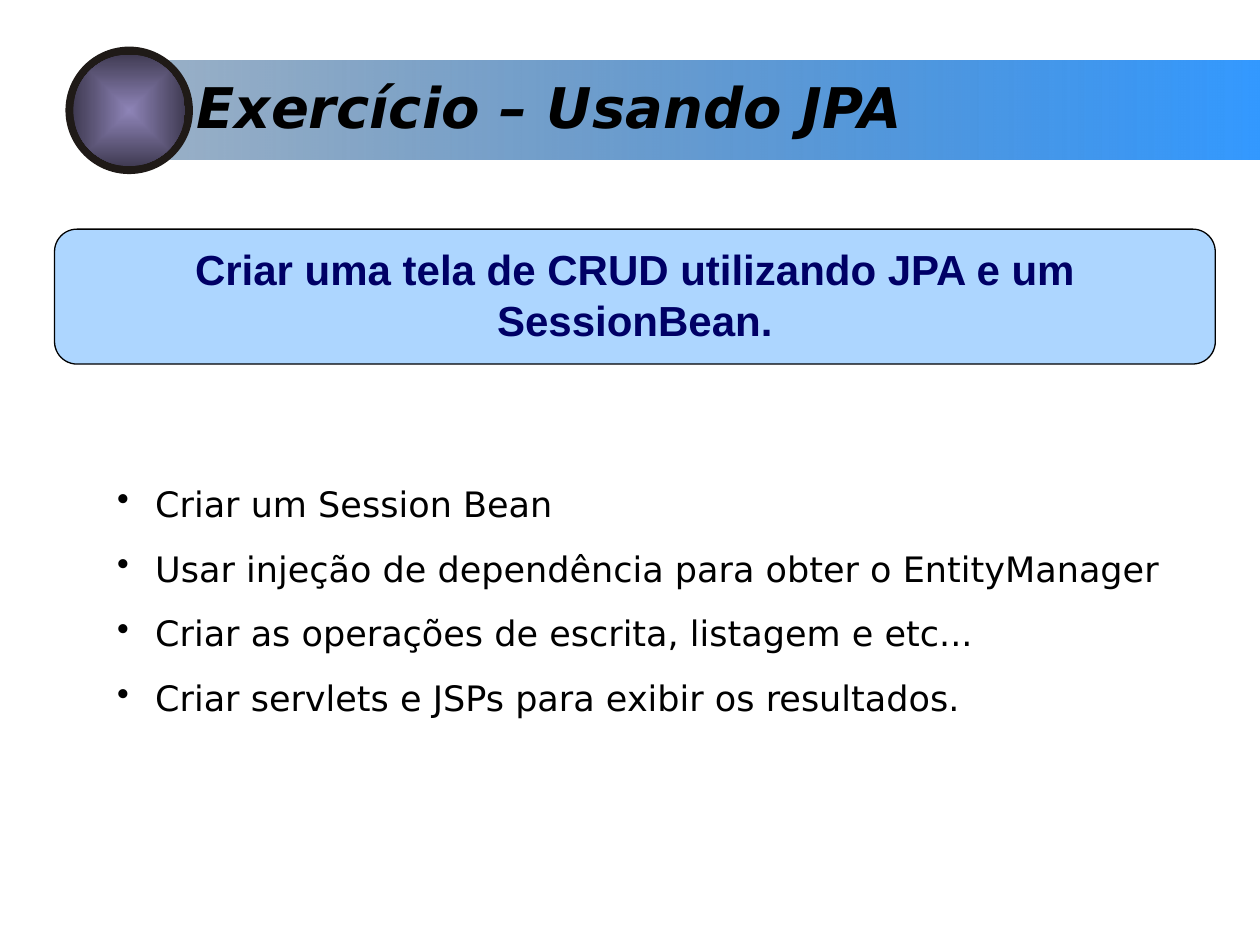
import pptx
import pptx.dml.color
import pptx.enum.shapes
import pptx.enum.text
import pptx.oxml
import pptx.oxml.ns
import pptx.util

Cm = pptx.util.Cm
Pt = pptx.util.Pt
SHAPES = pptx.enum.shapes.MSO_SHAPE
ALIGN = pptx.enum.text.PP_ALIGN
ANCHOR = pptx.enum.text.MSO_ANCHOR
qn = pptx.oxml.ns.qn

COLOURS = {
    "blue": "3399FF",
    "deep_blue": "194D81",
    "navy": "000066",
    "ring": "1F1A17",
    "violet": "8E84B7",
    "dark_violet": "413C54",
    "black": "000000",
}
TASKS = [
    "Criar um Session Bean",
    "Usar injeção de dependência para obter o EntityManager",
    "Criar as operações de escrita, listagem e etc...",
    "Criar servlets e JSPs para exibir os resultados.",
]


def colour(name):
    """Return the named palette colour."""
    return pptx.dml.color.RGBColor.from_string(COLOURS[name])


def add_plain_shape(slide, kind, left, top, width, height):
    """Add a shape without shadow or outline, measured in centimetres."""
    shape = slide.shapes.add_shape(kind, Cm(left), Cm(top), Cm(width), Cm(height))
    shape.shadow.inherit = False
    shape.line.fill.background()
    return shape


def set_opacity(shape, name, percent):
    """Set the opacity of one palette colour within a shape's fill."""
    for element in shape._element.spPr.iter(qn("a:srgbClr")):
        if element.get("val") == COLOURS[name]:
            alpha = element.makeelement(qn("a:alpha"), {"val": str(percent * 1000)})
            element.append(alpha)


def set_gradient(shape, names):
    """Give a shape a two-colour gradient running from right to left."""
    shape.fill.gradient()
    shape.fill.gradient_angle = 180
    for stop, name, position in zip(shape.fill.gradient_stops, names, (0, 1)):
        stop.color.rgb = colour(name)
        stop.position = position


def set_rectangular_gradient(shape, names):
    """Give a shape a gradient spreading from its centre."""
    set_gradient(shape, names)
    gradient = shape._element.spPr.find(qn("a:gradFill"))
    gradient.replace(gradient.find(qn("a:lin")), pptx.oxml.parse_xml(
        f'<a:path {pptx.oxml.ns.nsdecls("a")} path="rect">'
        '<a:fillToRect l="50000" t="50000" r="50000" b="50000"/></a:path>'))


def add_text(paragraph, text, font, size, name, bold=False, italic=False):
    """Add one formatted run to a paragraph."""
    run = paragraph.add_run()
    run.text = text
    run.font.name = font
    run.font.size = Pt(size)
    run.font.color.rgb = colour(name)
    run.font.bold = bold
    run.font.italic = italic


def add_header(slide, left, top, width, height):
    """Place the gradient bar, the title and the round button."""
    bar_left, bar_height = 1.78, 2
    bar = add_plain_shape(slide, SHAPES.RECTANGLE, left + bar_left,
                          top + (height - bar_height) / 2, width - bar_left, bar_height)
    set_gradient(bar, ("blue", "deep_blue"))
    set_opacity(bar, "deep_blue", 44)

    title = slide.shapes.title
    bar._element.addnext(title._element)
    title_left = 2.39
    title.left, title.top = Cm(left + title_left), Cm(top + 0.38)
    title.width, title.height = Cm(width - title_left), Cm(1.63)
    frame = title.text_frame
    frame.auto_size = pptx.enum.text.MSO_AUTO_SIZE.NONE
    frame.vertical_anchor = ANCHOR.MIDDLE
    paragraph = frame.paragraphs[0]
    paragraph.alignment = ALIGN.LEFT
    add_text(paragraph, "Exercício – Usando JPA", "DejaVu Sans", 32, "black", True, True)

    rim = 0.16
    ring = add_plain_shape(slide, SHAPES.OVAL, left, top, height, height)
    ring.fill.solid()
    ring.fill.fore_color.rgb = colour("ring")
    button = add_plain_shape(slide, SHAPES.OVAL, left + rim, top + rim,
                             height - 2 * rim, height - 2 * rim)
    set_rectangular_gradient(button, ("violet", "dark_violet"))


def add_goal(slide, left, top, width, height):
    """Place the rounded box that states the goal."""
    box = add_plain_shape(slide, SHAPES.ROUNDED_RECTANGLE, left, top, width, height)
    box.fill.solid()
    box.fill.fore_color.rgb = colour("blue")
    set_opacity(box, "blue", 40)
    box.line.color.rgb = colour("black")
    box.line.width = Pt(0.75)
    frame = box.text_frame
    frame.word_wrap = True
    frame.vertical_anchor = ANCHOR.MIDDLE
    frame.margin_top, frame.margin_bottom = 0, Cm(0.1)
    paragraph = frame.paragraphs[0]
    paragraph.alignment = ALIGN.CENTER
    add_text(paragraph, "Criar uma tela de CRUD utilizando JPA e um SessionBean.",
             "Arial", 24, "navy", True)


def add_tasks(slide, left, top, width, height):
    """Place the bulleted list of tasks."""
    box = slide.shapes.add_textbox(Cm(left), Cm(top), Cm(width), Cm(height))
    frame = box.text_frame
    frame.word_wrap = True
    for index, task in enumerate(TASKS):
        paragraph = frame.add_paragraph() if index else frame.paragraphs[0]
        paragraph.space_before = Pt(13)
        properties = paragraph._p.get_or_add_pPr()
        properties.set("marL", str(Cm(0.77)))
        properties.set("indent", str(-Cm(0.77)))
        bullet = properties.makeelement(qn("a:buChar"), {"char": "•"})
        properties.append(bullet)
        add_text(paragraph, task, "DejaVu Sans", 20, "black")


def main():
    """Build and save the slide."""
    presentation = pptx.Presentation()
    presentation.slide_width, presentation.slide_height = Cm(25.4), Cm(19.05)
    slide = presentation.slides.add_slide(presentation.slide_layouts[5])
    add_header(slide, 1.32, 0.94, 24.08, 2.57)
    add_goal(slide, 1.1, 4.62, 23.4, 2.72)
    add_tasks(slide, 2.11, 9.6, 23.29, 4.98)
    presentation.save("out.pptx")


if __name__ == "__main__":
    main()
